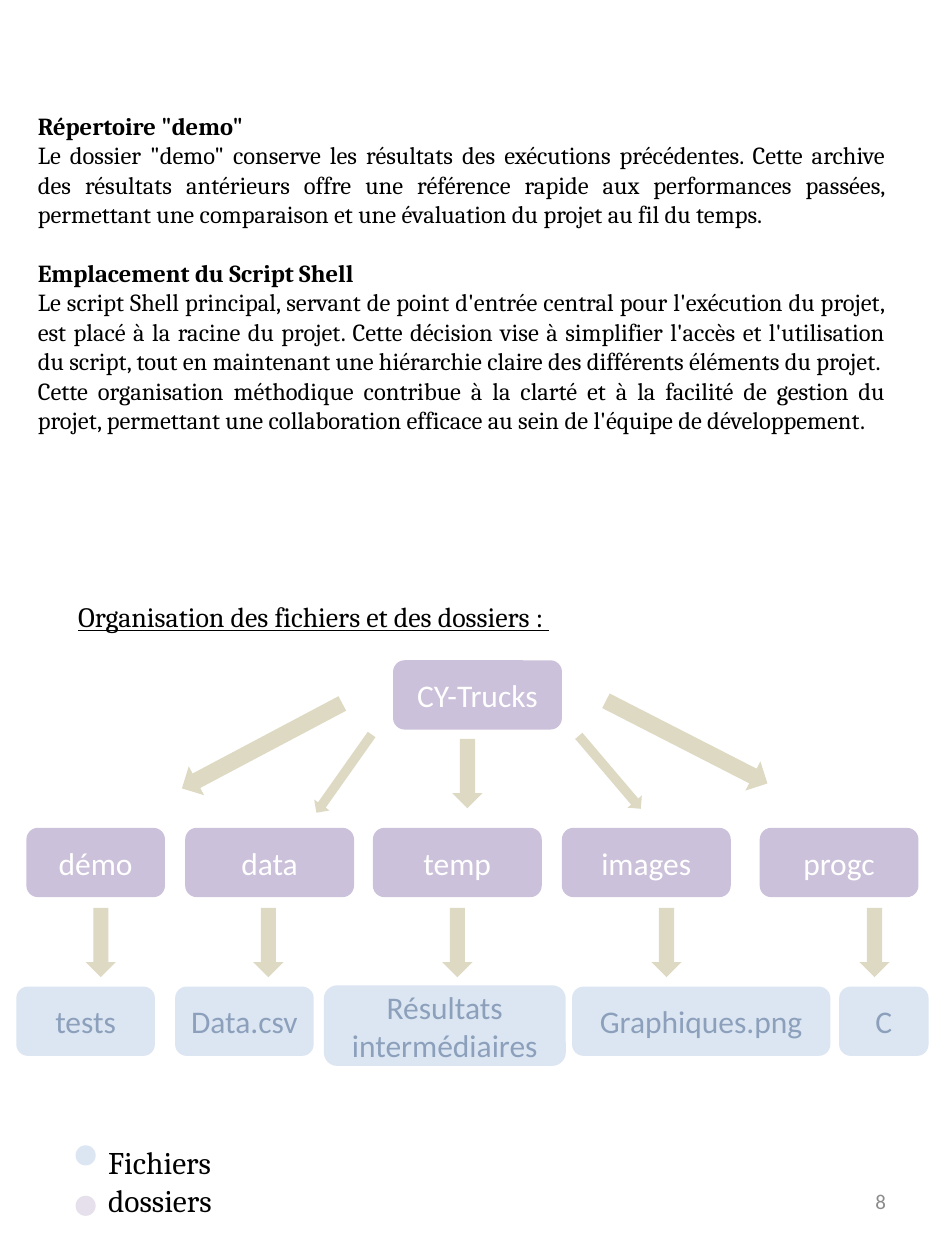
from lxml import etree
from pptx import Presentation
from pptx.dml.color import RGBColor
from pptx.enum.shapes import MSO_SHAPE
from pptx.enum.text import MSO_ANCHOR, MSO_AUTO_SIZE, PP_ALIGN
from pptx.oxml.ns import qn
from pptx.util import Inches, Pt

FOLDER, FILE, ARROW, LEGEND_FOLDER = "CCC1DA", "DCE6F2", "DDD9C3", "E6E0EC"
FOLDER_TEXT, FILE_TEXT = "FFFFFF", "8CA0BC"  # file labels need a readable tone

SECTIONS = [
    ('Répertoire "demo"', [
        'Le dossier "demo" conserve les résultats des exécutions précédentes. '
        "Cette archive des résultats antérieurs offre une référence rapide aux "
        "performances passées, permettant une comparaison et une évaluation du "
        "projet au fil du temps."]),
    ("Emplacement du Script Shell", [
        "Le script Shell principal, servant de point d'entrée central pour "
        "l'exécution du projet, est placé à la racine du projet. Cette décision "
        "vise à simplifier l'accès et l'utilisation du script, tout en maintenant "
        "une hiérarchie claire des différents éléments du projet.",
        "Cette organisation méthodique contribue à la clarté et à la facilité de "
        "gestion du projet, permettant une collaboration efficace au sein de "
        "l'équipe de développement."]),
]

# Left and width of each box, relative to the tree
FOLDERS = [("démo", 0.08, 1.1), ("data", 1.34, 1.34), ("temp", 2.83, 1.34),
           ("images", 4.33, 1.34), ("progc", 5.9, 1.26)]
FILES = [("tests", 0, 1.1), ("Data.csv", 1.26, 1.1),
         ("Résultats intermédiaires", 2.44, 1.92),
         ("Graphiques.png", 4.41, 2.05), ("C", 6.53, 0.71)]
# Centre x, centre y, length, thickness, angle
ROOT_ARROWS = [(1.95, 0.68, 1.44, 0.26, 152.1), (2.6, 0.9, 0.76, 0.15, 125.2),
               (3.58, 0.9, 0.55, 0.24, 90), (4.71, 0.89, 0.76, 0.15, 49.6),
               (5.32, 0.65, 1.44, 0.26, 27.1)]
FILE_ARROW_X = [0.67, 2, 3.5, 5.16, 6.81]


def rgb(color):
    return RGBColor.from_string(color)


def place(shape, box):
    for name, value in zip(("left", "top", "width", "height"), box):
        setattr(shape, name, Inches(value))


def resize_template(prs, width, height):
    fx, fy = width / prs.slide_width, height / prs.slide_height
    prs.slide_width, prs.slide_height = width, height
    for page in [prs.slide_master, *prs.slide_layouts]:
        for sp in page.placeholders:
            if sp.element.spPr.find(qn("a:xfrm")) is not None:
                for name, f in {"left": fx, "top": fy,
                                "width": fx, "height": fy}.items():
                    setattr(sp, name, int(getattr(sp, name) * f))


def add_text(p, text, color="000000", **font):
    r = p.add_run()
    r.text = text
    for name, value in {"name": "Cambria", **font}.items():
        setattr(r.font, name, value)
    r.font.color.rgb = rgb(color)


def setup_frame(tf, anchor=MSO_ANCHOR.TOP):
    tf.word_wrap = True
    tf.auto_size = MSO_AUTO_SIZE.NONE
    tf.vertical_anchor = anchor


def add_block(s, kind, box, fill):
    sp = s.shapes.add_shape(kind, *map(Inches, box))
    sp.shadow.inherit = False
    sp.fill.solid()
    sp.fill.fore_color.rgb = rgb(fill)
    sp.line.fill.background()
    return sp


def add_node(s, text, box, fill, color):
    sp = add_block(s, MSO_SHAPE.ROUNDED_RECTANGLE, box, fill)
    setup_frame(sp.text_frame, MSO_ANCHOR.MIDDLE)
    p = sp.text_frame.paragraphs[0]
    p.alignment = PP_ALIGN.CENTER
    add_text(p, text, color, name="Calibri", size=Pt(18))


def add_arrow(s, cx, cy, length, thickness, angle):
    box = (cx - length / 2, cy - thickness / 2, length, thickness)
    add_block(s, MSO_SHAPE.RIGHT_ARROW, box, ARROW).rotation = angle


def fill_body(sp, box):
    place(sp, box)
    tf = sp.text_frame
    setup_frame(tf)
    p = tf.paragraphs[0]
    for i, (heading, texts) in enumerate(SECTIONS):
        for j, text in enumerate([heading, *texts]):
            if i or j:
                p = tf.add_paragraph()
            p.alignment = PP_ALIGN.JUSTIFY
            p.space_before = Pt(16.8 if i and not j else 0)
            pPr = p._p.get_or_add_pPr()
            pPr.set("marL", "0")
            pPr.set("indent", "0")
            etree.SubElement(pPr, qn("a:buNone"))
            add_text(p, text, size=Pt(14), bold=j == 0)


def fill_title(sp, box):
    place(sp, box)
    setup_frame(sp.text_frame)
    p = sp.text_frame.paragraphs[0]
    p.alignment = PP_ALIGN.LEFT
    add_text(p, "Organisation des fichiers et des dossiers : ",
             size=Pt(16), underline=True)


def draw_tree(s, box):
    x, y = box[:2]
    # Root, folders and files
    add_node(s, "CY-Trucks", (x + 2.99, y, 1.34, 0.55), FOLDER, FOLDER_TEXT)
    for text, dx, w in FOLDERS:
        add_node(s, text, (x + dx, y + 1.33, w, 0.55), FOLDER, FOLDER_TEXT)
    for text, dx, w in FILES:
        top, h = (2.58, 0.64) if " " in text else (2.59, 0.55)
        add_node(s, text, (x + dx, y + top, w, h), FILE, FILE_TEXT)
    # Arrows between the levels
    file_arrows = [(dx, 2.24, 0.55, 0.24, 90) for dx in FILE_ARROW_X]
    for dx, dy, *form in ROOT_ARROWS + file_arrows:
        add_arrow(s, x + dx, y + dy, *form)


def draw_legend(s, box):
    x, y, w, h = box
    tb = s.shapes.add_textbox(*map(Inches, (x + 0.16, y, w - 0.16, h)))
    tf = tb.text_frame
    setup_frame(tf)
    for i, (text, color) in enumerate([("Fichiers", FILE),
                                       ("dossiers", LEGEND_FOLDER)]):
        add_block(s, MSO_SHAPE.FLOWCHART_CONNECTOR,
                  (x, y + 0.07 + 0.4 * i, 0.16, 0.16), color)
        p = tf.add_paragraph() if i else tf.paragraphs[0]
        add_text(p, text, size=Pt(18))


def add_page_number(s, box):
    tb = s.shapes.add_textbox(*map(Inches, box))
    setup_frame(tb.text_frame, MSO_ANCHOR.MIDDLE)
    p = tb.text_frame.paragraphs[0]
    p.alignment = PP_ALIGN.RIGHT
    add_text(p, "8", "8C8C8C", name="Calibri", size=Pt(12))


def main():
    prs = Presentation()
    resize_template(prs, Inches(7.5), Inches(10))
    s = prs.slides.add_slide(prs.slide_layouts[1])
    fill_body(s.placeholders[1], (0.2, 0.83, 6.93, 3.87))
    fill_title(s.shapes.title, (0.52, 4.71, 4.46, 0.37))
    draw_tree(s, (0.13, 5.24, 7.24, 3.22))
    draw_legend(s, (0.6, 9.02, 1.26, 0.71))
    add_page_number(s, (5.38, 9.27, 1.75, 0.53))
    prs.save("out.pptx")


if __name__ == "__main__":
    main()
